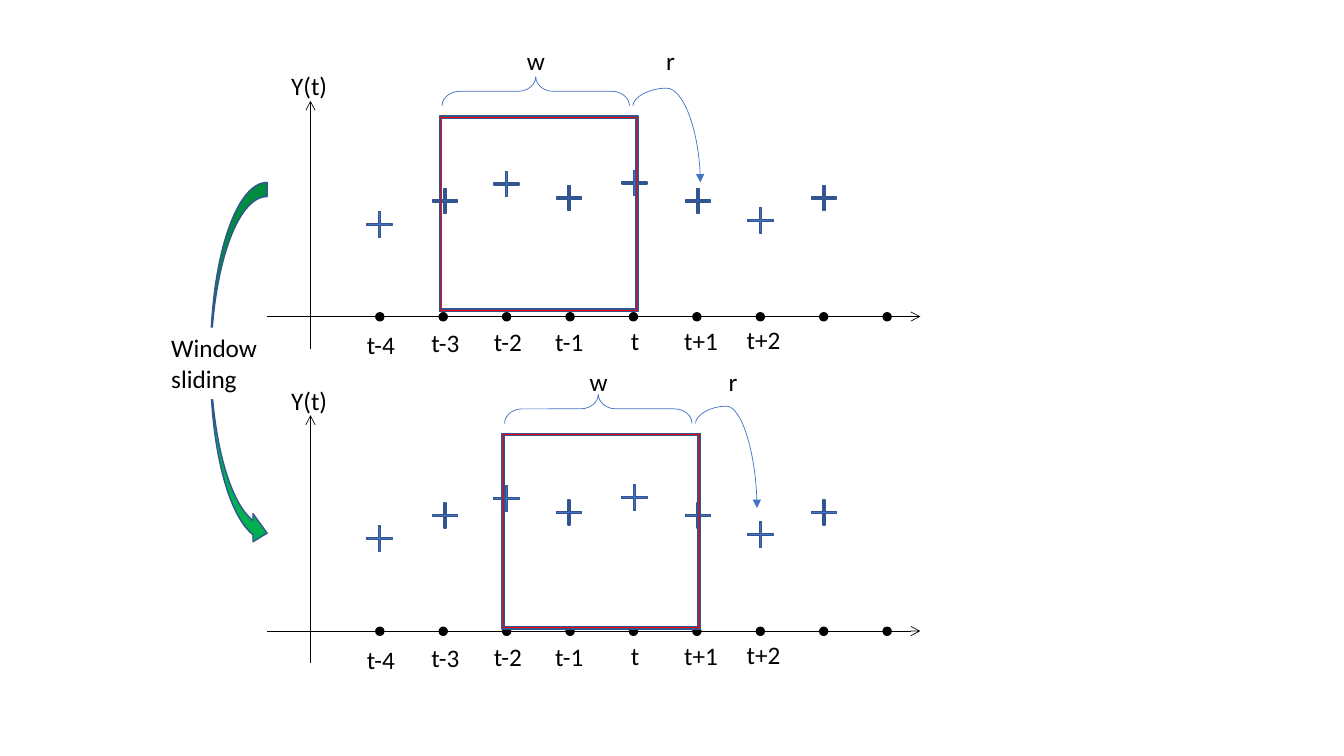
import pptx
import pptx.dml.color
import pptx.enum.dml
import pptx.enum.shapes
import pptx.enum.text
import pptx.oxml
import pptx.oxml.ns
import pptx.util
import lxml.etree

Pt = pptx.util.Pt
qn = pptx.oxml.ns.qn
RGBColor = pptx.dml.color.RGBColor
SHAPE = pptx.enum.shapes.MSO_SHAPE
CONNECTOR = pptx.enum.shapes.MSO_CONNECTOR

BLACK = RGBColor(0x00, 0x00, 0x00)
WHITE = RGBColor(0xFF, 0xFF, 0xFF)
BLUE = RGBColor(0x44, 0x72, 0xC4)
NAVY = RGBColor(0x32, 0x54, 0x91)
RED = RGBColor(0xFF, 0x00, 0x00)
GREEN = RGBColor(0x00, 0xB0, 0x50)

# Content: each tick label and sample as (text, left, top, width) or (left, top)
TICK_LABELS = [
    ("t-4", 254.9, 231.8, 34.6), ("t-3", 301, 230.4, 34.6),
    ("t-2", 345.6, 229.7, 34.6), ("t-1", 389.5, 229.7, 34.6),
    ("t", 443.5, 229, 20.9), ("t+1", 481.7, 229, 38.9),
    ("t+2", 526.3, 228.2, 38.9),
]
SAMPLES = [
    (262.1, 151.2), (308.9, 134.6), (352.8, 122.4), (397.4, 132.5),
    (444.2, 121.7), (489.6, 134.6), (534.2, 148.3), (579.6, 132.5),
]
PANELS = [
    {"top": 0, "window": (313.9, 82.8), "label_top": 28.8,
     "reach": (48.2, 54.7), "bend": -0.231},
    {"top": 224.64, "window": (358.6, 309.6), "label_top": 257.8,
     "reach": (43.9, 60.5), "bend": -0.203},
]
SLIDING = "Window\nsliding"

DOT_COUNT, DOT_LEFT, DOT_TOP, DOT_STEP, DOT_SIZE = 9, 268.4, 223.4, 45.3, 5.76
SAMPLE_SIZE = 18
WINDOW_WIDTH, WINDOW_HEIGHT = 141.8, 139.7
TEXT_HEIGHT = 28.8

deck = pptx.Presentation()
deck.slide_width, deck.slide_height = Pt(960), Pt(540)
slide = deck.slides.add_slide(deck.slide_layouts[6])


def add_mark(kind, left, top, width, height, fill=None, line=None,
             weight=1, adjust=(), rotation=0):
    """Add a preset shape without shadow; None means no fill or no line."""
    mark = slide.shapes.add_shape(kind, Pt(left), Pt(top), Pt(width), Pt(height))
    mark.shadow.inherit = False
    mark.rotation = rotation
    for index, value in enumerate(adjust):
        mark.adjustments[index] = value
    if fill is None:
        mark.fill.background()
    else:
        mark.fill.solid()
        mark.fill.fore_color.rgb = fill
    if line is None:
        mark.line.fill.background()
    else:
        mark.line.color.rgb = line
        mark.line.width = Pt(weight)
    return mark


def write(text, left, top, width, height=TEXT_HEIGHT, size=18, color=BLACK,
          font="Calibri", fill=None):
    """Write left-aligned text, in a filled rectangle if a fill is given."""
    if fill is None:
        box = slide.shapes.add_textbox(Pt(left), Pt(top), Pt(width), Pt(height))
    else:
        box = add_mark(SHAPE.RECTANGLE, left, top, width, height, fill=fill)
    frame = box.text_frame
    frame.word_wrap = False
    frame.auto_size = pptx.enum.text.MSO_AUTO_SIZE.SHAPE_TO_FIT_TEXT
    frame.vertical_anchor = pptx.enum.text.MSO_ANCHOR.TOP
    frame.text = text
    for paragraph in frame.paragraphs:
        paragraph.alignment = pptx.enum.text.PP_ALIGN.LEFT
        paragraph.font.size = Pt(size)
        paragraph.font.name = font
        paragraph.font.color.rgb = color


def add_arrow(kind, start, end, color, head):
    """Add a thin connector with an arrowhead at its end."""
    arrow = slide.shapes.add_connector(
        kind, *(Pt(length) for length in (*start, *end)))
    arrow.line.color.rgb = color
    arrow.line.width = Pt(0.5)
    properties = arrow._element.spPr
    lxml.etree.SubElement(properties.find(qn("a:ln")), qn("a:tailEnd"), type=head)
    lxml.etree.SubElement(properties, qn("a:effectLst"))
    return arrow


def add_forecast_curve(left, top, width, height, bend):
    """Curve up from the window's edge and down to the forecast sample."""
    # A quarter turn swaps width and height about the shared centre
    center_x, center_y = left + width / 2, top + height / 2
    curve = add_arrow(CONNECTOR.CURVE,
                      (center_x + height / 2, center_y - width / 2),
                      (center_x - height / 2, center_y + width / 2),
                      BLUE, "triangle")
    properties = curve._element.spPr
    properties.find(qn("a:xfrm")).set("rot", "16200000")
    geometry = properties.find(qn("a:prstGeom"))
    guides = geometry.find(qn("a:avLst"))
    if guides is None:
        guides = lxml.etree.SubElement(geometry, qn("a:avLst"))
    lxml.etree.SubElement(guides, qn("a:gd"), name="adj1",
                          fmla=f"val {round(bend * 100000)}")


def add_panel(top, window, label_top, reach, bend):
    """Draw one time series with its window, brace and forecast curve."""
    left, window_top = window
    add_arrow(CONNECTOR.STRAIGHT, (190.8, top + 226.1), (657.4, top + 226.1),
              BLACK, "arrow")
    add_arrow(CONNECTOR.STRAIGHT, (221.8, top + 249.1), (221.8, top + 72),
              BLACK, "arrow")
    write("Y(t)", 200.9, top + 46.8, 40.3, height=51.1)
    for index in range(DOT_COUNT):
        add_mark(SHAPE.OVAL, DOT_LEFT + index * DOT_STEP, top + DOT_TOP,
                 DOT_SIZE, DOT_SIZE, fill=BLACK, line=BLACK)
    for text, label_left, tick_top, width in TICK_LABELS:
        write(text, label_left, top + tick_top, width)
    for sample_left, sample_top in SAMPLES:
        add_mark(SHAPE.CROSS, sample_left, top + sample_top, SAMPLE_SIZE,
                 SAMPLE_SIZE, fill=BLUE, line=NAVY, adjust=[0.461])
    add_forecast_curve(left + 138.2, window_top - 7.2, *reach, bend)
    add_mark(SHAPE.LEFT_BRACE, left + 58.3, window_top - 84.5, 20.9, 133.9,
             line=BLUE, weight=0.5, adjust=[0.6, 0.5], rotation=90)
    add_mark(SHAPE.FRAME, left, window_top, WINDOW_WIDTH, WINDOW_HEIGHT,
             fill=RED, line=NAVY, adjust=[0.012])
    write("w", left + 55.4, label_top, 27.4)
    write("r", left + 154.8, label_top, 20.9)


for panel in PANELS:
    add_panel(**panel)
add_mark(SHAPE.CURVED_RIGHT_ARROW, 150.5, 130.3, 40.3, 260.6,
         fill=GREEN, line=NAVY)
write(SLIDING, 115.2, 234, 76.3, height=51.1, fill=WHITE)

deck.save("out.pptx")
